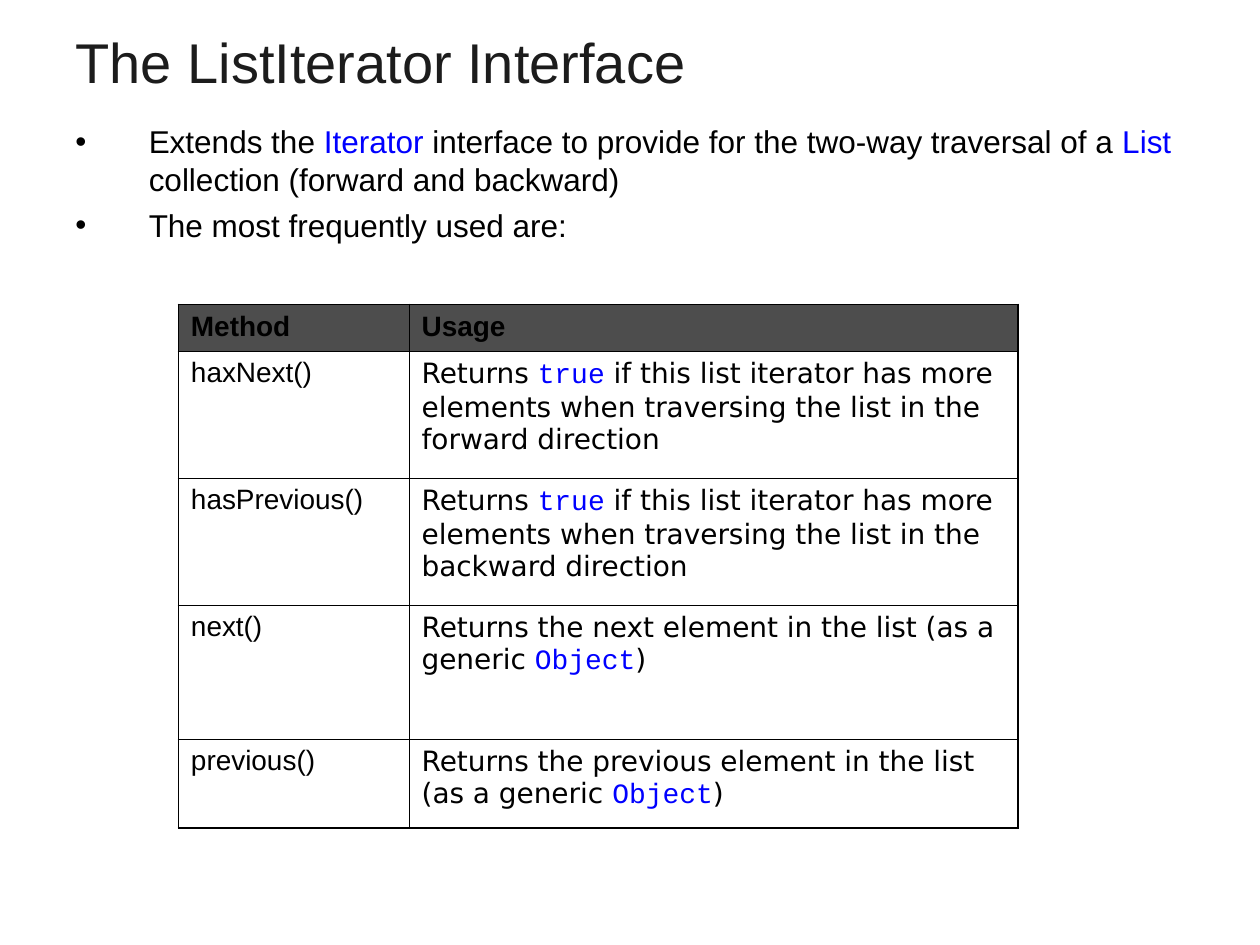
from dataclasses import dataclass

from lxml import etree
from pptx import Presentation
from pptx.dml.color import RGBColor
from pptx.enum.text import MSO_ANCHOR, MSO_AUTO_SIZE, PP_ALIGN
from pptx.oxml.ns import qn
from pptx.util import Cm, Pt


@dataclass(frozen=True)
class Theme:
    title: str = "1C1C1C"
    ink: str = "000000"
    code: str = "0000FF"
    head: str = "4D4D4D"
    sans: str = "Arial"
    wide: str = "DejaVu Sans"
    mono: str = "Courier New"
    big: int = 32
    body: int = 18
    cell: int = 16
    thick: float = 1.08
    thin: float = 0.45


theme = Theme()


def write(para, text, size, font=theme.sans, color=theme.ink, bold=False):
    run = para.add_run()
    run.text = text
    run.font.size = Pt(size)
    run.font.name = font
    run.font.bold = bold
    run.font.color.rgb = RGBColor.from_string(color)


def edge(cell, side, width):
    """Draw one border; call in the order L, R, T, B, before the fill."""
    line = etree.SubElement(cell._tc.get_or_add_tcPr(), qn("a:ln" + side), w=str(Pt(width)))
    fill = etree.SubElement(line, qn("a:solidFill"))
    etree.SubElement(fill, qn("a:srgbClr"), val=theme.ink)


prs = Presentation()
prs.slide_width, prs.slide_height = Cm(25.4), Cm(19.05)
slide = prs.slides.add_slide(prs.slide_layouts[5])

# Title
title = slide.shapes.title
title.left, title.top, title.width, title.height = Cm(1.27), Cm(0.76), Cm(22.86), Cm(0.94)
frame = title.text_frame
frame.auto_size = MSO_AUTO_SIZE.NONE
frame.vertical_anchor = MSO_ANCHOR.MIDDLE
para = frame.paragraphs[0]
para.alignment = PP_ALIGN.LEFT
write(para, "The ListIterator Interface", theme.big, color=theme.title)

# Bullets: every second run is a type name
points = [
    ["Extends the ", "Iterator",
     " interface to provide for the two-way traversal of a ", "List",
     " collection (forward and backward)"],
    ["The most frequently used are:"],
]
box = slide.shapes.add_textbox(Cm(1.27), Cm(2.34), Cm(22.86), Cm(14.68))
frame = box.text_frame
frame.word_wrap = True
for i, parts in enumerate(points):
    para = frame.add_paragraph() if i else frame.paragraphs[0]
    para.space_before = Pt(4.5)
    props = para._p.get_or_add_pPr()
    props.set("marL", str(Cm(1.48)))
    props.set("indent", str(Cm(-1.48)))
    tint = etree.SubElement(props, qn("a:buClr"))
    etree.SubElement(tint, qn("a:srgbClr"), val=theme.ink)
    etree.SubElement(props, qn("a:buFont"), typeface=theme.sans)
    etree.SubElement(props, qn("a:buChar"), char="•")
    for j, text in enumerate(parts):
        write(para, text, theme.body, color=theme.code if j % 2 else theme.ink)

# Table: in the usage column every second run is code
more = " if this list iterator has more elements when traversing the list in the "
rows = [
    ("Method", ["Usage"]),
    ("haxNext()", ["Returns ", "true", more + "forward direction"]),
    ("hasPrevious()", ["Returns ", "true", more + "backward direction"]),
    ("next()", ["Returns the next element in the list (as a generic ", "Object", ")"]),
    ("previous()", ["Returns the previous element in the list (as a generic ", "Object", ")"]),
]
wides = [4.65, 12.27]
talls = [0.89, 2.56, 2.56, 2.7, 1.8]
last = len(rows) - 1
table = slide.shapes.add_table(len(rows), 2, Cm(3.6), Cm(6.14),
                               Cm(sum(wides)), Cm(sum(talls))).table
table.horz_banding = False
for col, wide in zip(table.columns, wides):
    col.width = Cm(wide)
for r, (name, usage) in enumerate(rows):
    table.rows[r].height = Cm(talls[r])
    for c, parts in enumerate([[name], usage]):
        cell = table.cell(r, c)
        cell.margin_left = cell.margin_right = Cm(0.25)
        cell.margin_top = cell.margin_bottom = Cm(0.13)
        outer = {"L": c == 0, "R": c == 1, "T": r == 0, "B": r == last}
        for side, out in outer.items():
            edge(cell, side, theme.thick if out else theme.thin)
        if r == 0:
            cell.fill.solid()
            cell.fill.fore_color.rgb = RGBColor.from_string(theme.head)
        else:
            cell.fill.background()
        para = cell.text_frame.paragraphs[0]
        para.space_before = Pt(4)
        plain = theme.wide if r and c else theme.sans
        for j, text in enumerate(parts):
            font, color = (theme.mono, theme.code) if j % 2 else (plain, theme.ink)
            write(para, text, theme.cell, font, color, bold=r == 0)

prs.save("out.pptx")
